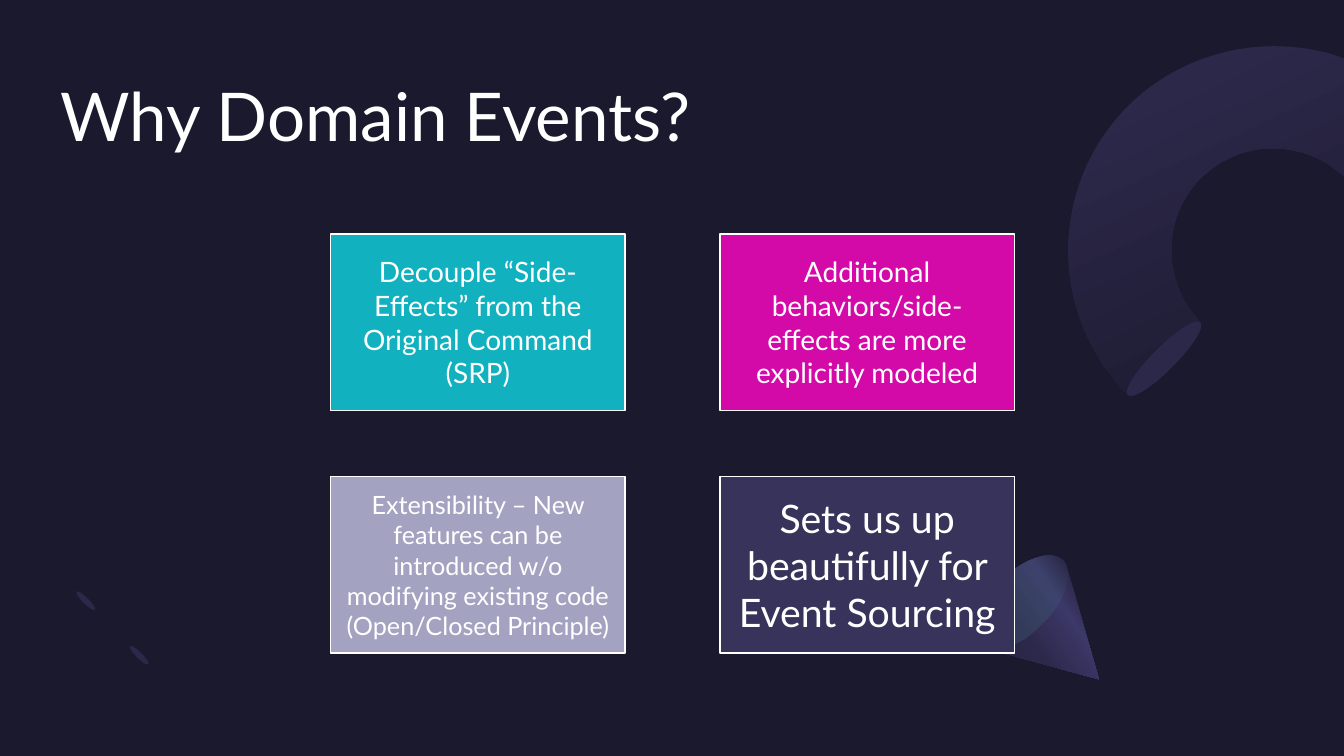
import math

import pptx
import pptx.util
import pptx.dml.color
import pptx.enum.shapes
import pptx.enum.text
import pptx.oxml
import pptx.oxml.ns
from pptx.util import Inches

FONT = "Lato"
BACKGROUND = "1B192E"
SHADE = "2C284A"
GLOW = "7771B2"
WHITE = "FFFFFF"

RING = [
    (11.19, 3.92), (10.4, 3.13, 10.4, 1.84, 11.19, 1.05),
    (11.74, 0.51, 12.52, 0.34, 13.21, 0.54), (13.33, 0.58), (13.33, 1.75),
    (13.19, 1.64), (12.79, 1.38, 12.26, 1.42, 11.91, 1.77),
    (11.52, 2.16, 11.52, 2.8, 11.91, 3.2),
]
RING_GLOW = [
    (11.44, 4.18), (10.51, 3.26, 10.4, 1.87, 11.19, 1.07),
    (11.69, 0.58, 12.42, 0.44, 13.12, 0.62), (13.32, 0.69), (13.32, 1.82),
    (13.3, 1.82), (12.87, 1.57, 12.35, 1.59, 12.03, 1.91),
    (11.64, 2.31, 11.69, 3, 12.15, 3.47),
]
CONE = [
    (10.9, 6.74), (9.77, 6.43), (9.76, 6.43),
    (9.74, 6.42, 9.73, 6.41, 9.71, 6.39), (9.6, 6.28, 9.69, 6, 9.92, 5.77),
    (10.15, 5.54, 10.43, 5.44, 10.55, 5.56),
    (10.56, 5.57, 10.57, 5.59, 10.58, 5.61), (10.58, 5.62), (10.9, 6.74),
]
SMALL_RING = [
    (0.76, 6.59), (0.56, 6.39, 0.56, 6.07, 0.76, 5.87), (0.94, 6.05),
    (0.84, 6.15, 0.84, 6.31, 0.94, 6.41), (1.03, 6.51, 1.2, 6.51, 1.29, 6.41),
    (1.47, 6.59), (1.28, 6.79, 0.95, 6.79, 0.76, 6.59),
]
SMALL_RING_GLOW = [
    (0.76, 6.59), (0.56, 6.39, 0.58, 6.05, 0.81, 5.82), (0.99, 6),
    (0.87, 6.11, 0.86, 6.29, 0.96, 6.38), (1.06, 6.48, 1.23, 6.47, 1.35, 6.36),
    (1.52, 6.54), (1.3, 6.76, 0.95, 6.79, 0.76, 6.59),
]
CARDS = [
    ("Decouple “Side-Effects” from the Original Command (SRP)", "12B1BF", 20),
    ("Additional behaviors/side-effects are more explicitly modeled", "D40AA8", 20),
    ("Extensibility – New features can be introduced w/o modifying existing code "
     "(Open/Closed Principle)", "A3A3C1", 18),
    ("Sets us up beautifully for Event Sourcing", "37335B", 28),
]


def qualified(tag):
    return pptx.oxml.ns.qn(tag)


def color(value):
    return pptx.dml.color.RGBColor.from_string(value)


def fill_solid(shape, value):
    shape.fill.solid()
    shape.fill.fore_color.rgb = color(value)


def fill_gradient(shape, stops, angle):
    marks = "".join(
        f'<a:gs pos="{position * 1000}"><a:srgbClr val="{value}">'
        f'<a:alpha val="{alpha * 1000}"/></a:srgbClr></a:gs>'
        for position, value, alpha in stops
    )
    gradient = pptx.oxml.parse_xml(
        f'<a:gradFill {pptx.oxml.ns.nsdecls("a")} rotWithShape="1">'
        f'<a:gsLst>{marks}</a:gsLst><a:lin ang="{angle * 60000}" scaled="0"/></a:gradFill>'
    )
    shape.fill.background()
    properties = shape._element.spPr
    properties.replace(properties.find(qualified("a:noFill")), gradient)


def fill_glow(shape, alpha, softness):
    fill_solid(shape, GLOW)
    properties = shape._element.spPr
    tint = properties.find(f'{qualified("a:solidFill")}/{qualified("a:srgbClr")}')
    tint.makeelement(qualified("a:alpha"), {})
    tint.append(tint.makeelement(qualified("a:alpha"), {"val": str(alpha * 1000)}))
    effects = properties.find(qualified("a:effectLst"))
    radius = str(int(pptx.util.Pt(softness)))
    effects.append(effects.makeelement(qualified("a:softEdge"), {"rad": radius}))


def turn_back(segments, frame, rotation):
    left, top, width, height = frame
    middle_x, middle_y = left + width / 2, top + height / 2
    cosine, sine = math.cos(math.radians(rotation)), math.sin(math.radians(rotation))
    points = []
    for segment in segments:
        for x, y in zip(segment[::2], segment[1::2]):
            across, down = x - middle_x, y - middle_y
            points.append((Inches(middle_x + across * cosine + down * sine),
                           Inches(middle_y - across * sine + down * cosine)))
    return points


def bend_curves(outline, segments):
    lines = iter(outline.findall(qualified("a:lnTo")))
    for segment in segments[1:]:
        first = next(lines)
        if len(segment) == 6:
            curve = outline.makeelement(qualified("a:cubicBezTo"), {})
            outline.replace(first, curve)
            curve.append(first[0])
            for line in (next(lines), next(lines)):
                curve.append(line[0])
                outline.remove(line)


def add_outline(page, segments, frame, rotation):
    points = turn_back(segments, frame, rotation)
    builder = page.shapes.build_freeform(*points[0])
    builder.add_line_segments(points[1:], close=True)
    shape = builder.convert_to_shape()
    outline = next(shape._element.iter(qualified("a:path")))
    bend_curves(outline, segments)
    left, top, width, height = (Inches(length) for length in frame)
    for point in outline.iter(qualified("a:pt")):
        point.set("x", str(int(point.get("x")) + shape.left - left))
        point.set("y", str(int(point.get("y")) + shape.top - top))
    outline.set("w", str(width))
    outline.set("h", str(height))
    shape.left, shape.top, shape.width, shape.height = left, top, width, height
    return finish(shape, rotation)


def add_ellipse(page, frame, rotation):
    shape = page.shapes.add_shape(
        pptx.enum.shapes.MSO_SHAPE.OVAL, *(Inches(length) for length in frame)
    )
    return finish(shape, rotation)


def finish(shape, rotation):
    shape.rotation = rotation
    shape.line.fill.background()
    shape.shadow.inherit = False
    return shape


def write_text(box, text, size, inset, alignment):
    frame = box.text_frame
    frame.word_wrap = True
    frame.vertical_anchor = pptx.enum.text.MSO_ANCHOR.MIDDLE
    frame.margin_left = frame.margin_right = Inches(inset)
    frame.margin_top = frame.margin_bottom = Inches(inset)
    para = frame.paragraphs[0]
    para.alignment = alignment
    span = para.add_run()
    span.text = text
    span.font.name = FONT
    span.font.size = pptx.util.Pt(size)
    span.font.color.rgb = color(WHITE)


def add_title(page, text):
    box = page.shapes.add_textbox(Inches(0.6), Inches(0.6), Inches(7.99), Inches(1.08))
    write_text(box, text, 48, 0, pptx.enum.text.PP_ALIGN.LEFT)


def add_card(page, left, top, text, value, size):
    box = page.shapes.add_shape(
        pptx.enum.shapes.MSO_SHAPE.RECTANGLE,
        Inches(left), Inches(top), Inches(2.92), Inches(1.75),
    )
    box.shadow.inherit = False
    fill_solid(box, value)
    box.line.color.rgb = color(WHITE)
    box.line.width = pptx.util.Pt(1)
    write_text(box, text, size, 0.11, pptx.enum.text.PP_ALIGN.CENTER)


def add_ring(page):
    ring = add_outline(page, RING, (9.91, 0.82, 3.87, 2.03), 315)
    fill_gradient(ring, [(31, SHADE, 100), (97, BACKGROUND, 100)], 110)
    fill_glow(add_outline(page, RING_GLOW, (10.04, 0.82, 3.8, 2.37), 315), 40, 50)
    fill_solid(add_ellipse(page, (11.43, 3.05, 0.23, 1.02), 225), SHADE)


def add_cone(page):
    stops = [(30, SHADE, 100), (40, "3C3867", 100), (60, SHADE, 100), (100, BACKGROUND, 100)]
    fill_gradient(add_outline(page, CONE, (9.82, 5.57, 1.18, 1.38), 135), stops, 10)
    base = add_ellipse(page, (9.83, 5.39, 0.59, 1.18), 225)
    fill_gradient(base, [(0, "454075", 33), (100, "5BEFC1", 0)], 90)


def add_small_ring(page):
    fill_solid(add_outline(page, SMALL_RING, (0.43, 6.16, 1.01, 0.51), 45), BACKGROUND)
    for left, top in ((1.35, 6.37), (0.82, 5.83)):
        fill_solid(add_ellipse(page, (left, top, 0.06, 0.26), 135), SHADE)
    fill_glow(add_outline(page, SMALL_RING_GLOW, (0.45, 6.09, 1.01, 0.58), 45), 20, 14)


def main():
    deck = pptx.Presentation()
    deck.slide_width, deck.slide_height = Inches(13.33), Inches(7.5)
    page = deck.slides.add_slide(deck.slide_layouts[6])
    fill_solid(page.background, BACKGROUND)
    add_ring(page)
    add_cone(page)
    add_small_ring(page)
    add_title(page, "Why Domain Events?")
    for index, card in enumerate(CARDS):
        row, column = divmod(index, 2)
        add_card(page, 3.28 + column * 3.86, 2.32 + row * 2.41, *card)
    deck.save("out.pptx")


if __name__ == "__main__":
    main()
